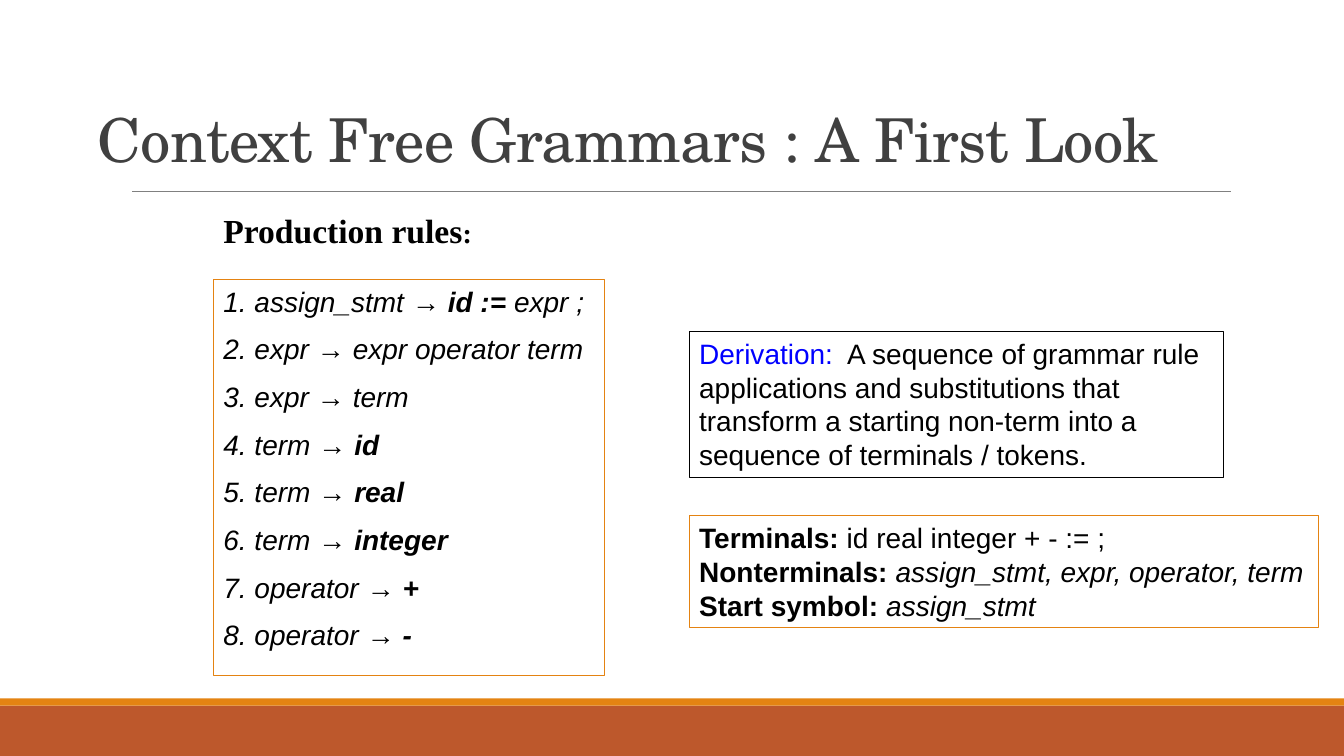
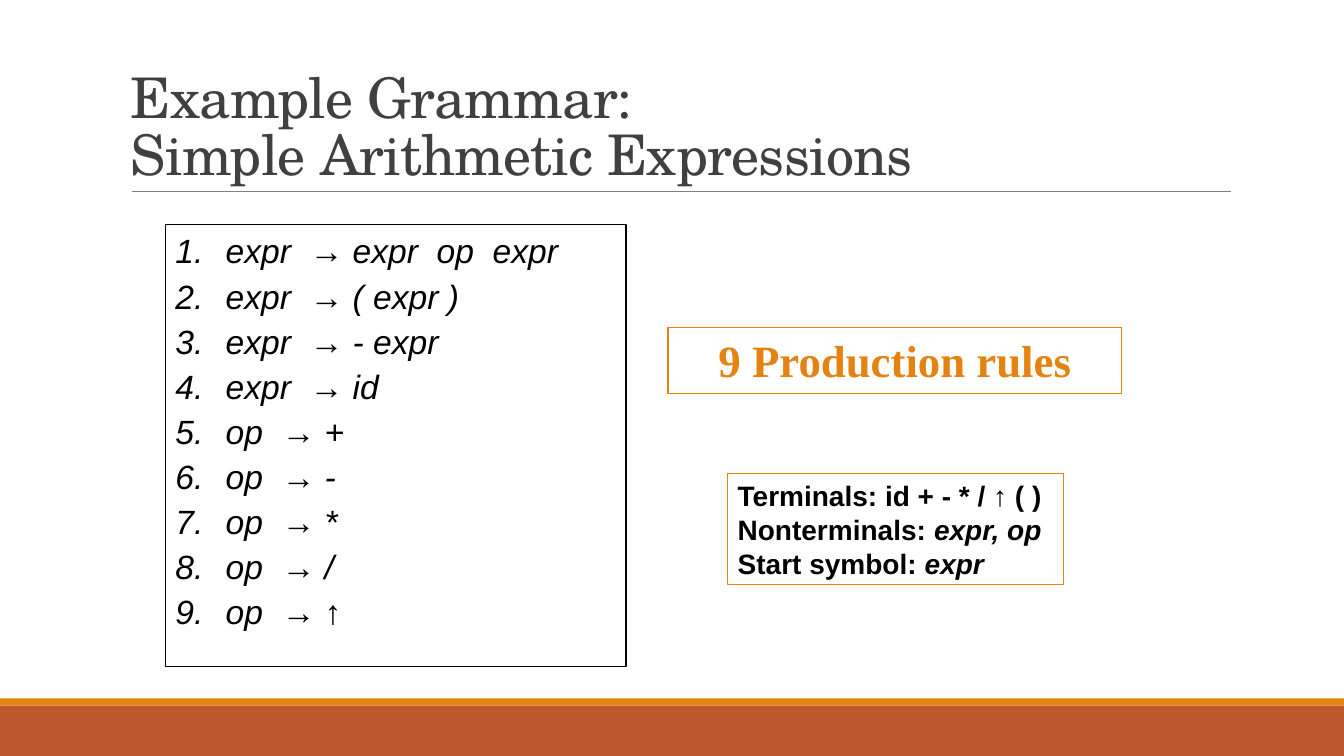
from lxml import etree
from pptx import Presentation
from pptx.dml.color import RGBColor
from pptx.enum.shapes import MSO_CONNECTOR, MSO_SHAPE
from pptx.enum.text import MSO_ANCHOR, PP_ALIGN
from pptx.oxml.ns import qn
from pptx.util import Cm, Pt

RECTANGLE = MSO_SHAPE.RECTANGLE
STRAIGHT = MSO_CONNECTOR.STRAIGHT
TOP, BOTTOM = MSO_ANCHOR.TOP, MSO_ANCHOR.BOTTOM
LEFT, CENTER = PP_ALIGN.LEFT, PP_ALIGN.CENTER

COLORS = {
    "rust": "BD582C",
    "orange": "E48312",
    "rule": "808080",
    "title": "404040",
    "text": "000000",
    "term": "0000FF",
}
TITLE_FONT, BODY_FONT, SERIF_FONT = "TeX Gyre Schola", "Arial", "Times New Roman"
SLIDE_WIDTH, SLIDE_HEIGHT = 33.87, 19.05

PLAIN = {}
BOLD = {"bold": True}
ITALIC = {"italic": True}
BOLD_ITALIC = {"bold": True, "italic": True}

STATEMENT_RULES = [
    ("assign_stmt", [("id :=", BOLD_ITALIC), (" expr ;", ITALIC)]),
    ("expr", [("expr operator term", ITALIC)]),
    ("expr", [("term", ITALIC)]),
    ("term", [("id", BOLD_ITALIC)]),
    ("term", [("real", BOLD_ITALIC)]),
    ("term", [("integer", BOLD_ITALIC)]),
    ("operator", [("+", BOLD_ITALIC)]),
    ("operator", [("-", BOLD_ITALIC)]),
]
ARITHMETIC_RULES = [
    ("expr", "expr  op  expr"),
    ("expr", "( expr )"),
    ("expr", "- expr"),
    ("expr", "id"),
    ("op", "+"),
    ("op", "-"),
    ("op", "*"),
    ("op", "/"),
    ("op", "↑"),
]


def rgb(name):
    return RGBColor.from_string(COLORS[name])


def style_font(font, name, size, color):
    font.name = name
    font.size = Pt(size)
    font.color.rgb = rgb(color)


def add_band(slide, top, height, color):
    band = slide.shapes.add_shape(RECTANGLE, 0, Cm(top), Cm(SLIDE_WIDTH), Cm(height))
    band.shadow.inherit = False
    band.fill.solid()
    band.fill.fore_color.rgb = rgb(color)
    band.line.fill.background()


def add_title_rule(slide):
    rule = slide.shapes.add_connector(STRAIGHT, Cm(3.33), Cm(4.83), Cm(31.01), Cm(4.83))
    rule.line.color.rgb = rgb("rule")
    rule.line.width = Pt(0.5)
    etree.SubElement(rule._element.spPr, qn("a:effectLst"))


def add_title(slide, text, box, size):
    frame = slide.shapes.add_textbox(*map(Cm, box)).text_frame
    frame.word_wrap = True
    frame.vertical_anchor = BOTTOM
    paragraph = frame.paragraphs[0]
    paragraph.text = text
    paragraph.line_spacing = 0.85
    style_font(paragraph.font, TITLE_FONT, size, "title")
    for run in paragraph.runs:
        run._r.get_or_add_rPr().set("spc", "-50")


def add_base_slide(presentation, title, title_box, title_size):
    slide = presentation.slides.add_slide(presentation.slide_layouts[6])
    add_band(slide, 17.78, 1.27, "rust")
    add_band(slide, 17.6, 0.18, "orange")
    add_title_rule(slide)
    add_title(slide, title, title_box, title_size)
    return slide


def add_runs(paragraph, runs):
    for text, style in runs:
        run = paragraph.add_run()
        run.text = text
        run.font.bold = style.get("bold", False)
        run.font.italic = style.get("italic", False)
        if "size" in style:
            run.font.size = Pt(style["size"])
        if "color" in style:
            run.font.color.rgb = rgb(style["color"])


def fill_text(shape, lines, size=20, font=BODY_FONT, color="text", align=LEFT, gap=0):
    frame = shape.text_frame
    frame.word_wrap = True
    frame.vertical_anchor = TOP
    for index, runs in enumerate(lines):
        paragraph = frame.add_paragraph() if index else frame.paragraphs[0]
        paragraph.alignment = align
        if index and gap:
            paragraph.space_before = Pt(gap)
        style_font(paragraph.font, font, size, color)
        add_runs(paragraph, runs)


def add_framed_text(slide, box, lines, border="orange", width=1, **text_style):
    shape = slide.shapes.add_shape(RECTANGLE, *map(Cm, box))
    shape.shadow.inherit = False
    shape.fill.background()
    shape.line.color.rgb = rgb(border)
    shape.line.width = Pt(width)
    fill_text(shape, lines, **text_style)
    return shape


def number_paragraphs(shape):
    indent = Cm(1.27)
    for index, paragraph in enumerate(shape.text_frame.paragraphs):
        if index:
            paragraph.line_spacing = 0.7
        properties = paragraph._p.get_or_add_pPr()
        properties.set("marL", str(indent))
        properties.set("indent", str(-indent))
        numbering = etree.Element(qn("a:buAutoNum"), type="arabicPeriod")
        properties.find(qn("a:defRPr")).addprevious(numbering)


def build_first_look(presentation):
    slide = add_base_slide(presentation, "Context Free Grammars : A First Look",
                           (2.21, 1.57, 27.69, 2.97), 43.2)
    rules = [[(f"{number}. {head} ", ITALIC), ("→ ", PLAIN), *body]
             for number, (head, body) in enumerate(STATEMENT_RULES, 1)]
    add_framed_text(slide, (5.38, 7.04, 9.86, 9.98), rules, gap=10)
    derivation = [
        ("Derivation:", {"color": "term"}),
        ("  A sequence of grammar rule applications and substitutions that transform "
         "a starting non-term into a sequence of terminals / tokens.", PLAIN),
    ]
    add_framed_text(slide, (17.37, 8.36, 13.46, 3.68), [derivation], border="text")
    heading = slide.shapes.add_textbox(Cm(5.38), Cm(5.16), Cm(6.83), Cm(1.27))
    fill_text(heading, [[("Production rules", BOLD), (":", {"bold": True, "size": 20})]],
              size=24, font=SERIF_FONT)
    symbols = [
        [("Terminals: ", BOLD), ("id real integer + - := ;", PLAIN)],
        [("Nonterminals: ", BOLD), ("assign_stmt, expr, operator, term", ITALIC)],
        [("Start symbol: ", BOLD), ("assign_stmt", ITALIC)],
    ]
    add_framed_text(slide, (17.37, 13, 15.85, 2.82), symbols, width=0.75)


def build_arithmetic(presentation):
    slide = add_base_slide(presentation, "Example Grammar: \vSimple Arithmetic Expressions",
                           (3.05, 0.79, 27.94, 4.04), 40)
    rules = [[(f"{head}  ", ITALIC), ("→", PLAIN),
              (f" {body}", PLAIN if body == "↑" else ITALIC)]
             for head, body in ARITHMETIC_RULES]
    rule_box = add_framed_text(slide, (4.17, 5.66, 11.61, 11.13), rules,
                               border="text", size=24, gap=12)
    number_paragraphs(rule_box)
    add_framed_text(slide, (16.84, 8.26, 11.43, 1.65), [[("9 Production rules", BOLD)]],
                    size=32, font=SERIF_FONT, color="orange", align=CENTER)
    symbols = [
        [("Terminals: id + - * / ↑ ( )", BOLD)],
        [("Nonterminals: ", BOLD), ("expr, op", BOLD_ITALIC)],
        [("Start symbol: ", BOLD), ("expr", BOLD_ITALIC)],
    ]
    add_framed_text(slide, (18.34, 11.94, 8.46, 2.79), symbols, width=0.75)


def main():
    presentation = Presentation()
    presentation.slide_width = Cm(SLIDE_WIDTH)
    presentation.slide_height = Cm(SLIDE_HEIGHT)
    build_first_look(presentation)
    build_arithmetic(presentation)
    presentation.save("out.pptx")


if __name__ == "__main__":
    main()
